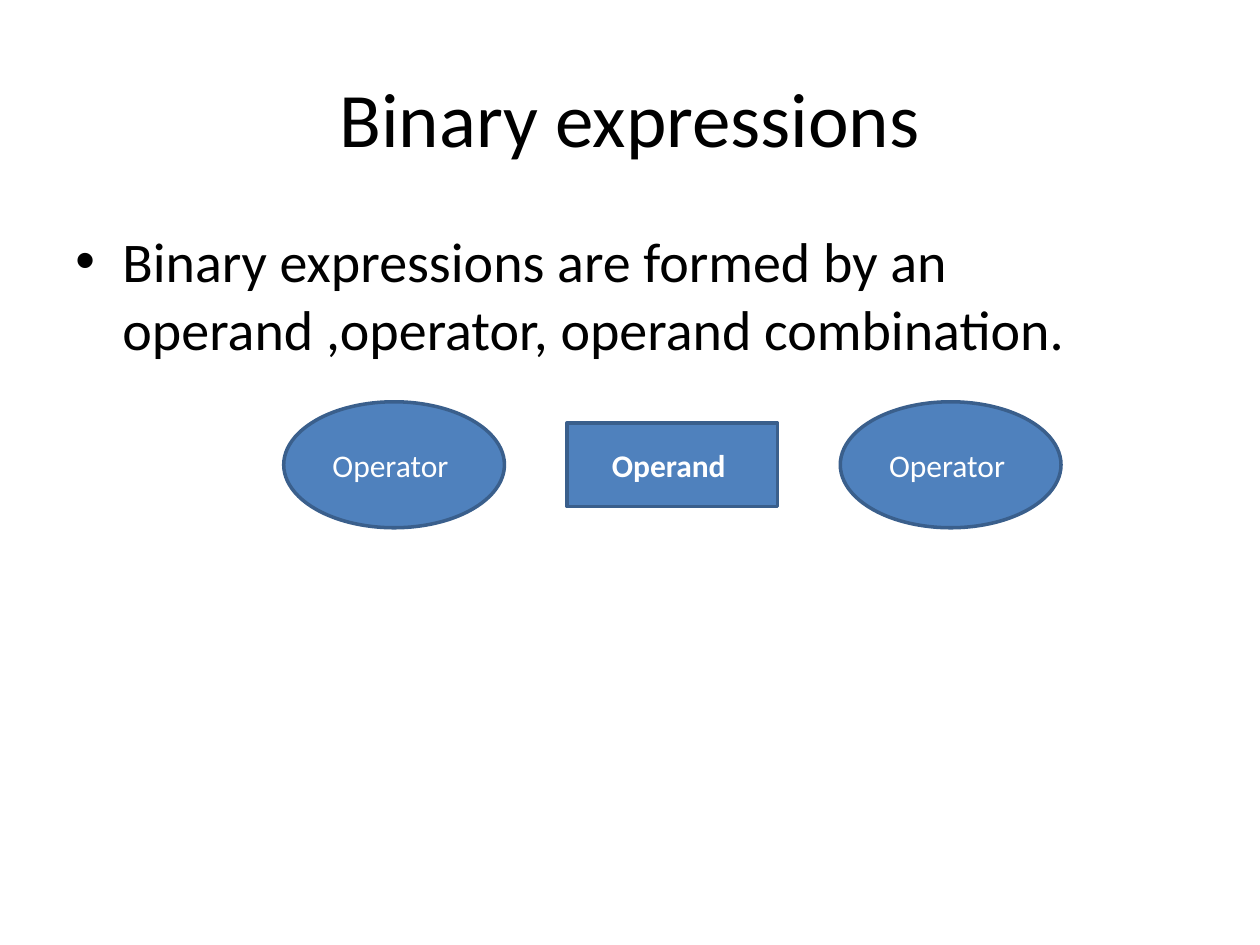
from dataclasses import dataclass

from lxml.etree import SubElement
from pptx import Presentation
from pptx.dml.color import RGBColor as RGB
from pptx.enum.shapes import MSO_SHAPE as SHAPE
from pptx.enum.text import MSO_ANCHOR as ANCHOR, PP_ALIGN as ALIGN
from pptx.oxml.ns import qn
from pptx.util import Cm, Pt


@dataclass(frozen=True)
class Theme:
    """Colours, font and type sizes of the slide."""
    font: str = "Calibri"
    text: RGB = RGB(0x00, 0x00, 0x00)
    fill: RGB = RGB(0x4F, 0x81, 0xBD)
    line: RGB = RGB(0x3A, 0x5F, 0x8C)
    label: RGB = RGB(0xFF, 0xFF, 0xFF)
    title_size: int = 44
    body_size: int = 32
    label_size: int = 18


THEME = Theme()


def add_run(p, text, size, color, bold=False):
    """Add one styled run to a paragraph."""
    r = p.add_run()
    r.text = text
    r.font.name = THEME.font
    r.font.size = Pt(size)
    r.font.bold = bold
    r.font.color.rgb = color


def add_title(slide, left, top, width, height, text):
    """Place the centred title in the given box."""
    tf = slide.shapes.add_textbox(Cm(left), Cm(top), Cm(width), Cm(height)).text_frame
    tf.word_wrap = True
    tf.vertical_anchor = ANCHOR.MIDDLE
    p = tf.paragraphs[0]
    p.alignment = ALIGN.CENTER
    add_run(p, text, THEME.title_size, THEME.text)


def add_body(slide, left, top, width, height, text):
    """Place the bulleted paragraph in the given box."""
    tf = slide.shapes.add_textbox(Cm(left), Cm(top), Cm(width), Cm(height)).text_frame
    tf.word_wrap = True
    p = tf.paragraphs[0]
    p.space_before = Pt(0.2 * THEME.body_size)
    pPr = p._p.get_or_add_pPr()
    indent = Cm(0.95)
    pPr.set("marL", str(indent))
    pPr.set("indent", str(-indent))
    SubElement(pPr, qn("a:buFont"), typeface="Arial")
    SubElement(pPr, qn("a:buChar"), char="•")
    add_run(p, text, THEME.body_size, THEME.text)


def add_expression(slide, left, top, width, height, parts):
    """Spread the parts evenly across the box, centred on its middle line."""
    gap = (width - sum(part[2] for part in parts)) / (len(parts) - 1)
    x = left
    for kind, text, w, h, bold in parts:
        y = top + (height - h) / 2
        sp = slide.shapes.add_shape(kind, Cm(x), Cm(y), Cm(w), Cm(h))
        sp.shadow.inherit = False
        sp.fill.solid()
        sp.fill.fore_color.rgb = THEME.fill
        sp.line.color.rgb = THEME.line
        sp.line.width = Pt(2)
        tf = sp.text_frame
        tf.word_wrap = True
        tf.vertical_anchor = ANCHOR.MIDDLE
        p = tf.paragraphs[0]
        p.alignment = ALIGN.CENTER
        add_run(p, text, THEME.label_size, THEME.label, bold)
        x += w + gap


def main():
    """Build the slide and save it."""
    prs = Presentation()
    prs.slide_width, prs.slide_height = Cm(25.4), Cm(19.05)
    slide = prs.slides.add_slide(prs.slide_layouts[6])
    add_title(slide, 1.27, 0.76, 22.86, 3.18, "Binary expressions")
    add_body(slide, 1.27, 4.45, 22.86, 12.57,
             "Binary expressions are formed by an operand ,operator, operand combination.")
    operator = (SHAPE.OVAL, "Operator ", 4.45, 2.54, False)
    operand = (SHAPE.RECTANGLE, "Operand ", 4.24, 1.69, True)
    add_expression(slide, 5.72, 8.1, 15.67, 2.54, [operator, operand, operator])
    prs.save("out.pptx")


if __name__ == "__main__":
    main()
